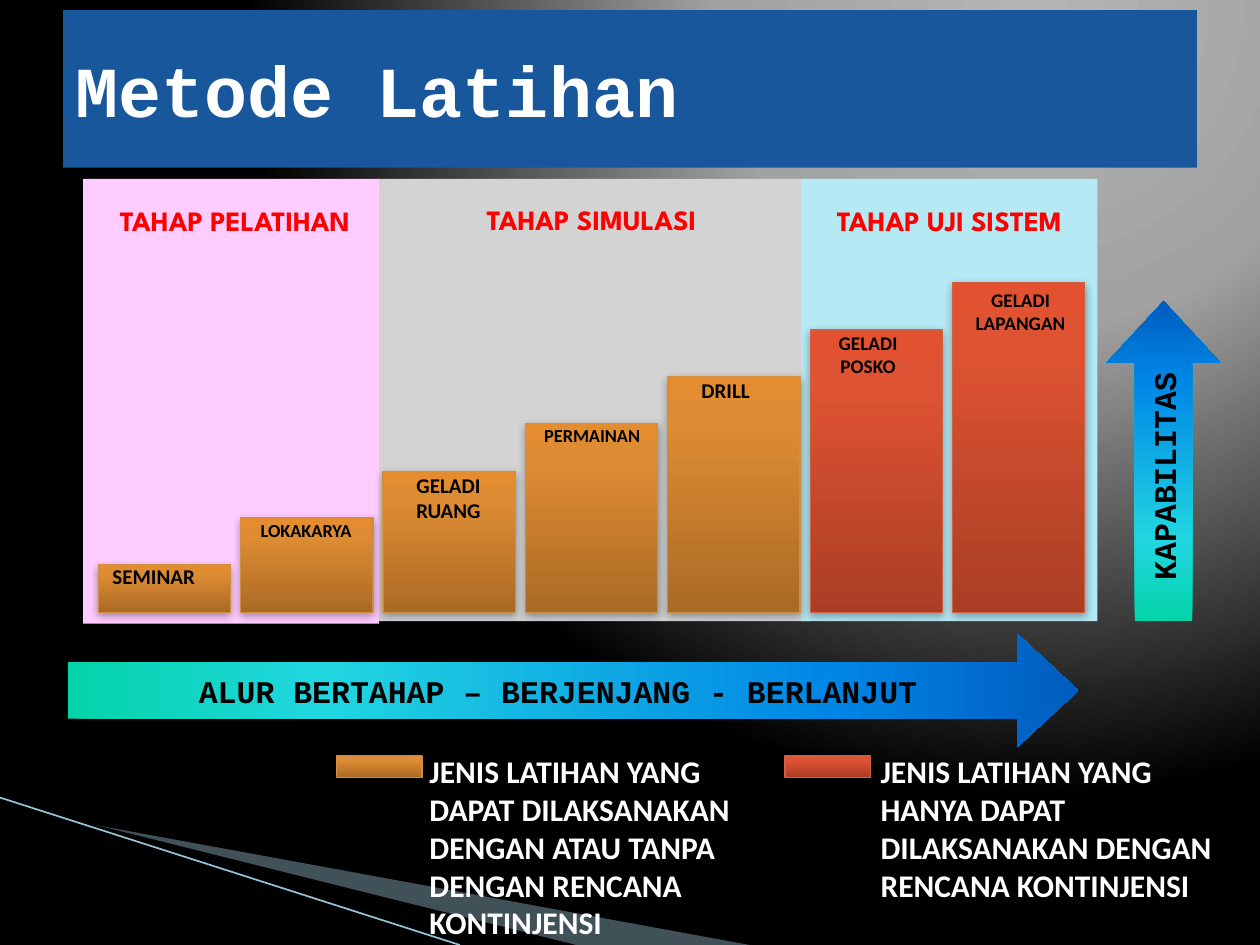
from lxml import etree
from pptx import Presentation
from pptx.dml.color import RGBColor
from pptx.enum.shapes import MSO_CONNECTOR, MSO_SHAPE
from pptx.enum.text import MSO_ANCHOR, MSO_AUTO_SIZE, PP_ALIGN
from pptx.oxml.ns import qn
from pptx.util import Pt

RECT, UP_ARROW = MSO_SHAPE.RECTANGLE, MSO_SHAPE.UP_ARROW
LEFT, CENTER = PP_ALIGN.LEFT, PP_ALIGN.CENTER
MIDDLE, GROW = MSO_ANCHOR.MIDDLE, MSO_AUTO_SIZE.SHAPE_TO_FIT_TEXT
PX = 9144  # 100 px to the inch
rgb = RGBColor.from_string

ORANGE = ["D08D44", [(0, "AA6A24"), (80, "DE8C33"), (100, "E38D30")]]
RED = ["D05F44", [(0, "AA3E24"), (80, "DE5333"), (100, "E35230")]]
OCEAN = [(0, "03D4A8"), (25, "21D6E0"), (75, "0087E6"), (100, "005CBF")]


def gradient(fill, element, stops):
    """Fill with colour stops and return the element for its direction."""
    fill.gradient()
    grad = element.find(".//" + qn("a:gradFill"))
    for child in list(grad):
        grad.remove(child)
    grad.set("rotWithShape", "1")
    gs_list = etree.SubElement(grad, qn("a:gsLst"))
    for pos, color in stops:
        gs = etree.SubElement(gs_list, qn("a:gs"), pos=str(pos * 1000))
        etree.SubElement(gs, qn("a:srgbClr"), val=color)
    return grad


def write(sp, text, size, font, color, align=CENTER):
    tf = sp.text_frame
    tf.word_wrap = True
    p = tf.paragraphs[0]
    p.alignment = align
    r = p.add_run()
    r.text = text
    for name, value in {"size": Pt(size), "name": font, "bold": True}.items():
        setattr(r.font, name, value)
    r.font.color.rgb = rgb(color)
    return tf


prs = Presentation()
prs.slide_width, prs.slide_height = 1000 * PX, 750 * PX
s = prs.slides.add_slide(prs.slide_layouts[5])

# Background glow from the upper right
grad = gradient(s.background.fill, s.element,
                [(0, "B4B4B4"), (40, "A2A2A2"), (100, "000000")])
glow = etree.SubElement(grad, qn("a:path"), {"path": "circle"})
etree.SubElement(glow, qn("a:fillToRect"), l="65000", t="0", r="0", b="98000")

# Title
title = s.shapes.title
for name, value in {"left": 50, "top": 8, "width": 900, "height": 125}.items():
    setattr(title, name, value * PX)
title.fill.solid()
title.fill.fore_color.rgb = rgb("18579B")
write(title, "Metode Latihan", 41, "Courier New", "FFFFFF", LEFT).vertical_anchor = MIDDLE

# Corner wedges and line
for points, color, alpha in [
    ([(55, 651), (595, 750), (456, 750), (55, 650)], "A0CBDC", 40),
    ([(53, 649), (457, 750), (372, 750), (54, 650)], "000000", 100),
]:
    builder = s.shapes.build_freeform(*points[0], scale=PX)
    builder.add_line_segments(points[1:])
    sp = builder.convert_to_shape()
    sp.shadow.inherit = False
    sp.fill.solid()
    sp.fill.fore_color.rgb = rgb(color)
    sp.line.fill.background()
    clr = sp._element.spPr.find(".//" + qn("a:srgbClr"))
    etree.SubElement(clr, qn("a:alpha"), val=str(alpha * 1000))
line = s.shapes.add_connector(MSO_CONNECTOR.STRAIGHT, 0, 633 * PX, 365 * PX, 750 * PX)
line.line.color.rgb = rgb("97C5D8")
line.line.width = Pt(0.95)
etree.SubElement(line._element.spPr, qn("a:effectLst"))

# Stage panels
for x, w, h, color in [(300, 343, 351, "D3D3D3"), (636, 235, 351, "B5E9F4"),
                       (66, 235, 353, "FFCCFF")]:
    sp = s.shapes.add_shape(RECT, x * PX, 142 * PX, w * PX, h * PX)
    sp.shadow.inherit = False
    sp.fill.solid()
    sp.fill.fore_color.rgb = rgb(color)
    sp.line.fill.background()

# Rising steps, then the legend keys
bars = []
for i in range(7):
    top = 448 - 112 * i // 3
    bars.append((78 + 113 * i, top, 105, 486 - top, ORANGE if i < 5 else RED))
bars += [(267, 600, 68, 17, ORANGE), (623, 600, 68, 17, RED)]
for x, y, w, h, (edge, stops) in bars:
    sp = s.shapes.add_shape(RECT, x * PX, y * PX, w * PX, h * PX)
    grad = gradient(sp.fill, sp._element.spPr, stops)
    etree.SubElement(grad, qn("a:lin"), ang="16200000", scaled="0")
    sp.line.color.rgb = rgb(edge)
    sp.line.width = Pt(0.75)
    sp.shadow.inherit = False
    effects = sp._element.spPr.find(qn("a:effectLst"))
    shadow = etree.SubElement(effects, qn("a:outerShdw"), blurRad=str(Pt(5)),
                              dist=str(Pt(1.8)), dir="5400000", rotWithShape="0")
    clr = etree.SubElement(shadow, qn("a:srgbClr"), val="000000")
    etree.SubElement(clr, qn("a:alpha"), val="35000")

# Step labels, stage headings and legend texts
STEP = ("Calibri", "000000", CENTER)
STAGE = ("League Spartan", "FF0000", CENTER)
LEGEND = ("Calibri", "FFFFFF", LEFT)
for x, y, w, h, text, size, style in [
    (69, 442, 106, 30, "SEMINAR", 12, STEP),
    (190, 407, 106, 28, "LOKAKARYA", 10.5, STEP),
    (303, 370, 106, 50, "GELADI RUANG", 12, STEP),
    (417, 332, 106, 28, "PERMAINAN", 10.5, STEP),
    (523, 295, 106, 30, "DRILL", 12, STEP),
    (636, 258, 106, 47, "GELADI POSKO", 11, STEP),
    (757, 224, 106, 47, "GELADI LAPANGAN", 11, STEP),
    (77, 157, 219, 37, "TAHAP PELATIHAN", 16, STAGE),
    (303, 156, 333, 37, "TAHAP SIMULASI", 16, STAGE),
    (644, 157, 219, 37, "TAHAP UJI SISTEM", 16, STAGE),
    (331, 592, 302, 162, "JENIS LATIHAN YANG DAPAT DILAKSANAKAN DENGAN ATAU "
     "TANPA DENGAN RENCANA KONTINJENSI", 18, LEGEND),
    (689, 592, 302, 162, "JENIS LATIHAN YANG HANYA DAPAT DILAKSANAKAN DENGAN "
     "RENCANA KONTINJENSI", 18, LEGEND),
]:
    box = s.shapes.add_textbox(x * PX, y * PX, w * PX, h * PX)
    write(box, text, size, *style).auto_size = GROW

# Capability and flow arrows
for x, y, w, h, turn, text in [
    (878, 239, 91, 254, 0, "KAPABILITAS"),
    (410, 147, 90, 802, 90, "ALUR BERTAHAP – BERJENJANG - BERLANJUT"),
]:
    sp = s.shapes.add_shape(UP_ARROW, x * PX, y * PX, w * PX, h * PX)
    sp.rotation = turn
    sp.adjustments[0], sp.adjustments[1] = 0.5, 0.54
    sp.shadow.inherit = False
    grad = gradient(sp.fill, sp._element.spPr, OCEAN)
    etree.SubElement(grad, qn("a:lin"), ang="16200000", scaled="0")
    sp.line.fill.background()
    tf = write(sp, text, 18, "Courier New", "000000")
    tf.vertical_anchor = MIDDLE
    tf._txBody.bodyPr.set("vert", "vert270")

prs.save("out.pptx")
